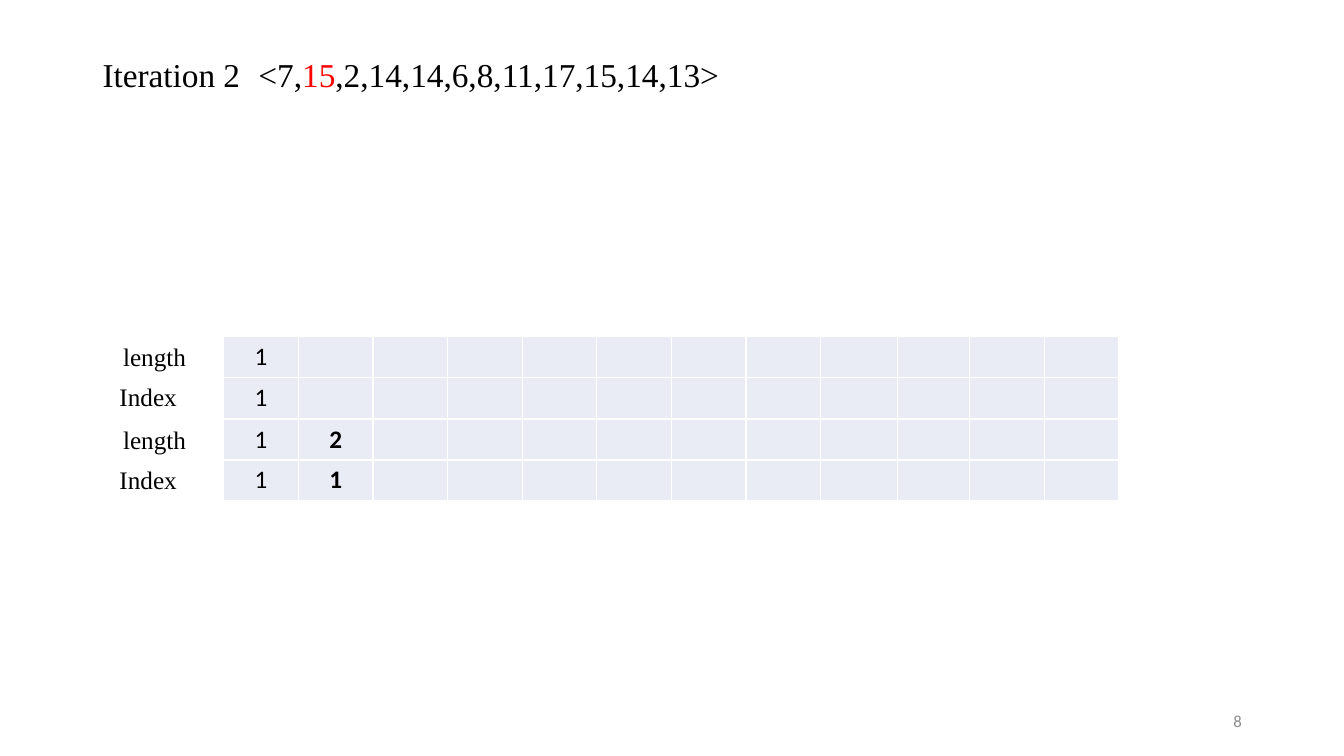
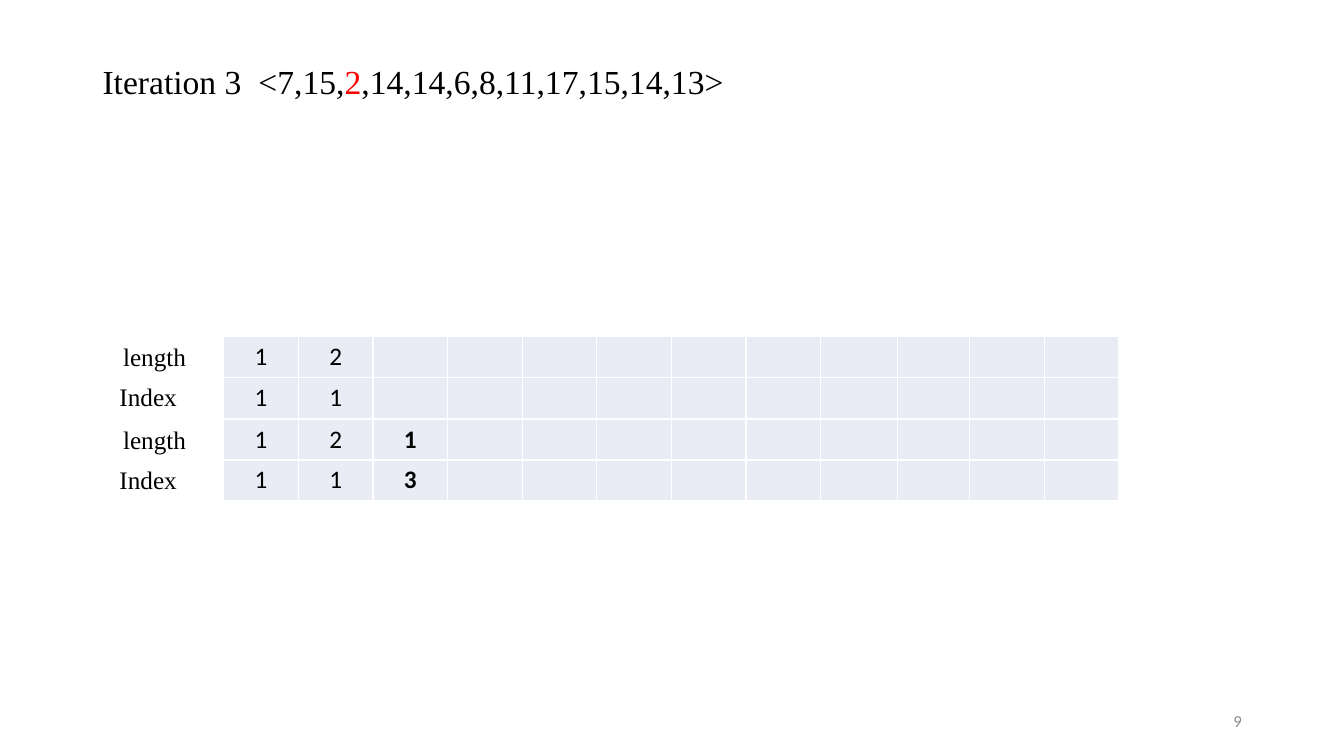
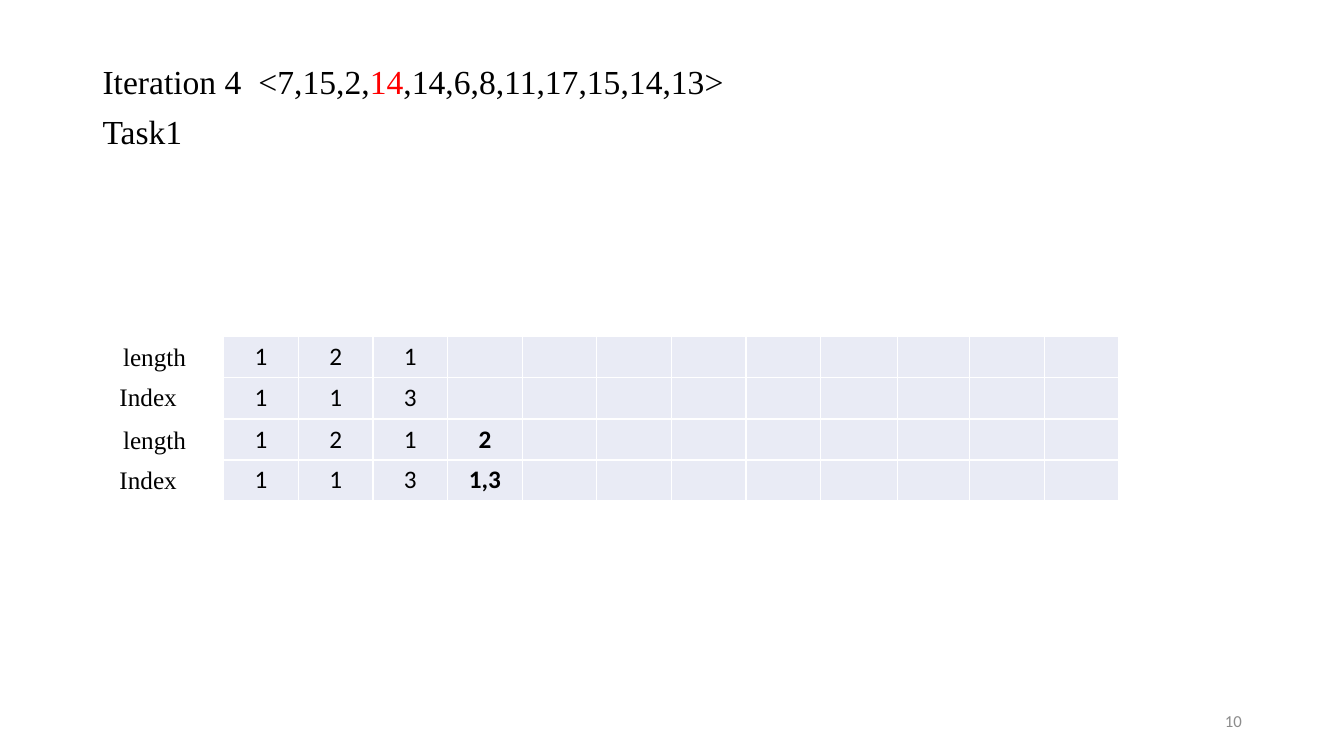
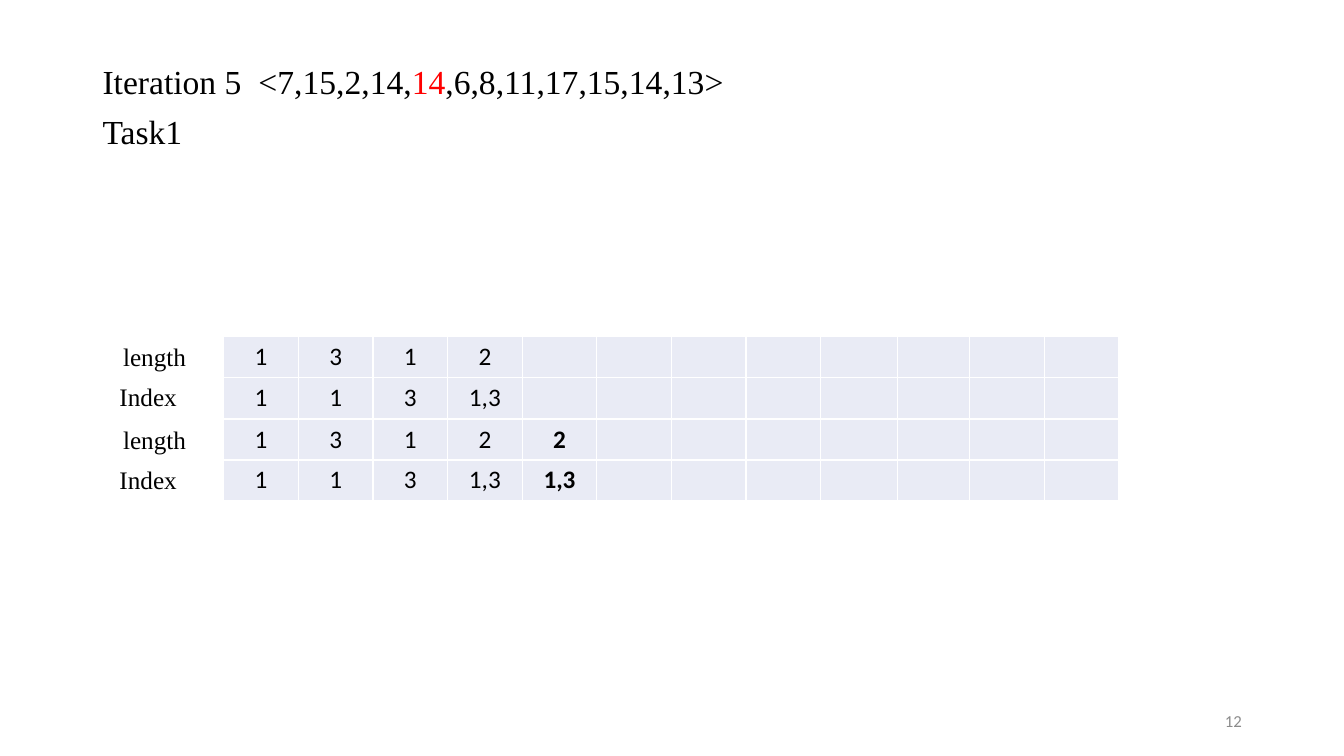
from lxml.etree import SubElement
from pptx import Presentation
from pptx.dml.color import RGBColor
from pptx.enum.text import MSO_ANCHOR, MSO_AUTO_SIZE, PP_ALIGN
from pptx.oxml.ns import qn
from pptx.util import Cm, Pt

COLORS = {"text": "000000", "current": "FF0000", "number": "8C8C8C",
          "cell": "E9EBF5", "border": "FFFFFF"}
SERIF, SANS = "Times New Roman", "Calibri"
SEQUENCE = [7, 15, 2, 14, 14, 6, 8, 11, 17, 15, 14, 13]
COL_WIDTHS = [1.88] * 8 + [1.93, 1.83] + [1.88] * 2
ROW_HEIGHT = 1.03
TABLE_LEFT = 5.64
TABLE_TOPS = [8.48, 10.56]
LABELS = [("length", 2.13, 0), ("Index", 1.97, 1.01)]

# Each step: iteration, slide number, earlier columns, new column, extra line
STEPS = [
    (2, "8", [("1", "1")], ("2", "1"), None),
    (3, "9", [("1", "1"), ("2", "1")], ("1", "3"), None),
    (4, "10", [("1", "1"), ("2", "1"), ("1", "3")], ("2", "1,3"), "Task1"),
    (5, "12", [("1", "1"), ("3", "1"), ("1", "3"), ("2", "1,3")],
     ("2", "1,3"), "Task1"),
]


def add_run(p, text, size, font=SERIF, color="text", bold=False):
    r = p.add_run()
    r.text = text
    r.font.size = Pt(size)
    r.font.name = font
    r.font.bold = bold
    r.font.color.rgb = RGBColor.from_string(COLORS[color])


def add_label(slide, text, left, top, width, size=18, font=SERIF,
              color="text", align=PP_ALIGN.CENTER, anchor=MSO_ANCHOR.TOP):
    tf = slide.shapes.add_textbox(Cm(left), Cm(top), Cm(width), Cm(1.02)).text_frame
    tf.word_wrap = True
    tf.vertical_anchor = anchor
    p = tf.paragraphs[0]
    p.alignment = align
    add_run(p, text, size, font, color)


def add_tab_stop(p, position):
    tabs = SubElement(p._p.get_or_add_pPr(), qn("a:tabLst"))
    SubElement(tabs, qn("a:tab"), pos=str(Cm(position)), algn="l")


def set_heading(slide, iteration, extra, size, spacing, height):
    """Write the sequence with the number of this iteration highlighted."""
    sp = slide.shapes.title
    sp.left, sp.top, sp.width, sp.height = Cm(2.33), Cm(1.52), Cm(29.21), Cm(height)
    tf = sp.text_frame
    tf.word_wrap = True
    tf.auto_size = MSO_AUTO_SIZE.NONE
    tf.vertical_anchor = MSO_ANCHOR.TOP
    p = tf.paragraphs[0]
    add_tab_stop(p, 3.93)
    before = "".join(f"{n}," for n in SEQUENCE[:iteration - 1])
    after = "".join(f",{n}" for n in SEQUENCE[iteration:])
    add_run(p, f"Iteration {iteration}\t<{before}", size)
    add_run(p, str(SEQUENCE[iteration - 1]), size, color="current")
    add_run(p, f"{after}>", size)
    if extra:
        p = tf.add_paragraph()
        p.space_before = Pt(10)
        add_run(p, extra, size)
    for p in tf.paragraphs:
        p.alignment = PP_ALIGN.LEFT
        p.line_spacing = spacing


def style_cell(cell):
    tcPr = cell._tc.get_or_add_tcPr()
    for side in ("lnL", "lnR", "lnT", "lnB"):
        ln = SubElement(tcPr, qn(f"a:{side}"), w=str(Pt(1)))
        fill = SubElement(ln, qn("a:solidFill"))
        SubElement(fill, qn("a:srgbClr"), val=COLORS["border"])
    cell.fill.solid()
    cell.fill.fore_color.rgb = RGBColor.from_string(COLORS["cell"])


def add_state(slide, top, columns, new=None):
    """Add a labelled length/index table; the new column is bold."""
    filled = columns + ([new] if new else [])
    table = slide.shapes.add_table(
        2, len(COL_WIDTHS), Cm(TABLE_LEFT), Cm(top),
        Cm(sum(COL_WIDTHS)), Cm(2 * ROW_HEIGHT)).table
    table.first_row = table.horz_banding = False
    for column, width in zip(table.columns, COL_WIDTHS):
        column.width = Cm(width)
    for row in table.rows:
        row.height = Cm(ROW_HEIGHT)
    for cell in table.iter_cells():
        style_cell(cell)
    for c, pair in enumerate(filled):
        for r, value in enumerate(pair):
            p = table.cell(r, c).text_frame.paragraphs[0]
            p.alignment = PP_ALIGN.CENTER
            add_run(p, value, 18, SANS, bold=c >= len(columns))
    for text, left, offset in LABELS:
        add_label(slide, text, left, top + offset, 3.53)


def main():
    prs = Presentation()
    prs.slide_width, prs.slide_height = Cm(33.87), Cm(19.05)
    for iteration, number, columns, new, extra in STEPS:
        slide = prs.slides.add_slide(prs.slide_layouts[5])
        compact = iteration == 2
        set_heading(slide, iteration, extra, 23.8 if compact else 24,
                    0.7 if compact else 0.9, 1.02 if compact else 2.92)
        add_label(slide, number, 23.93, 17.65, 7.62, 12, SANS, "number",
                  PP_ALIGN.RIGHT, MSO_ANCHOR.MIDDLE)
        add_state(slide, TABLE_TOPS[0], columns)
        add_state(slide, TABLE_TOPS[1], columns, new)
    prs.save("out.pptx")


if __name__ == "__main__":
    main()
